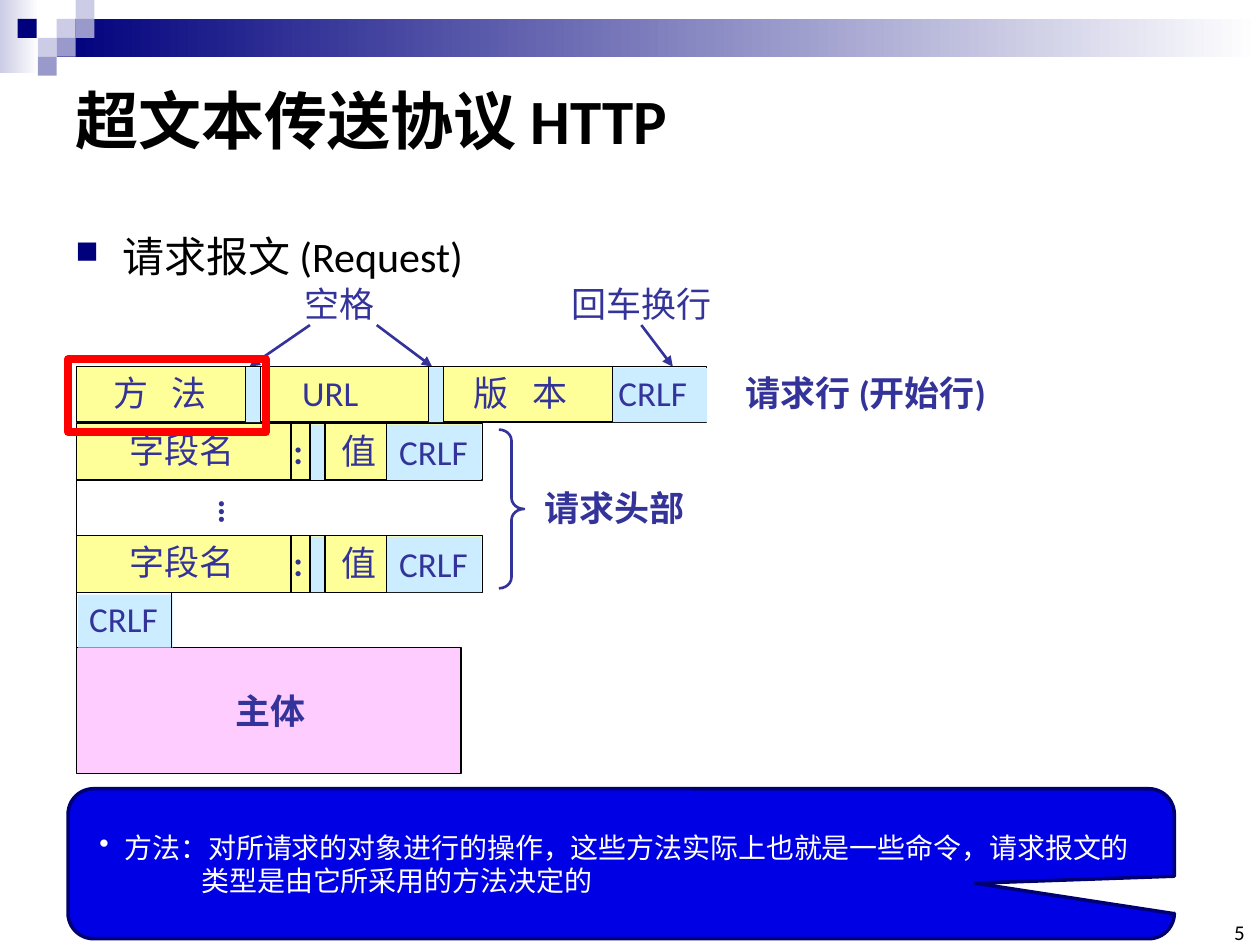
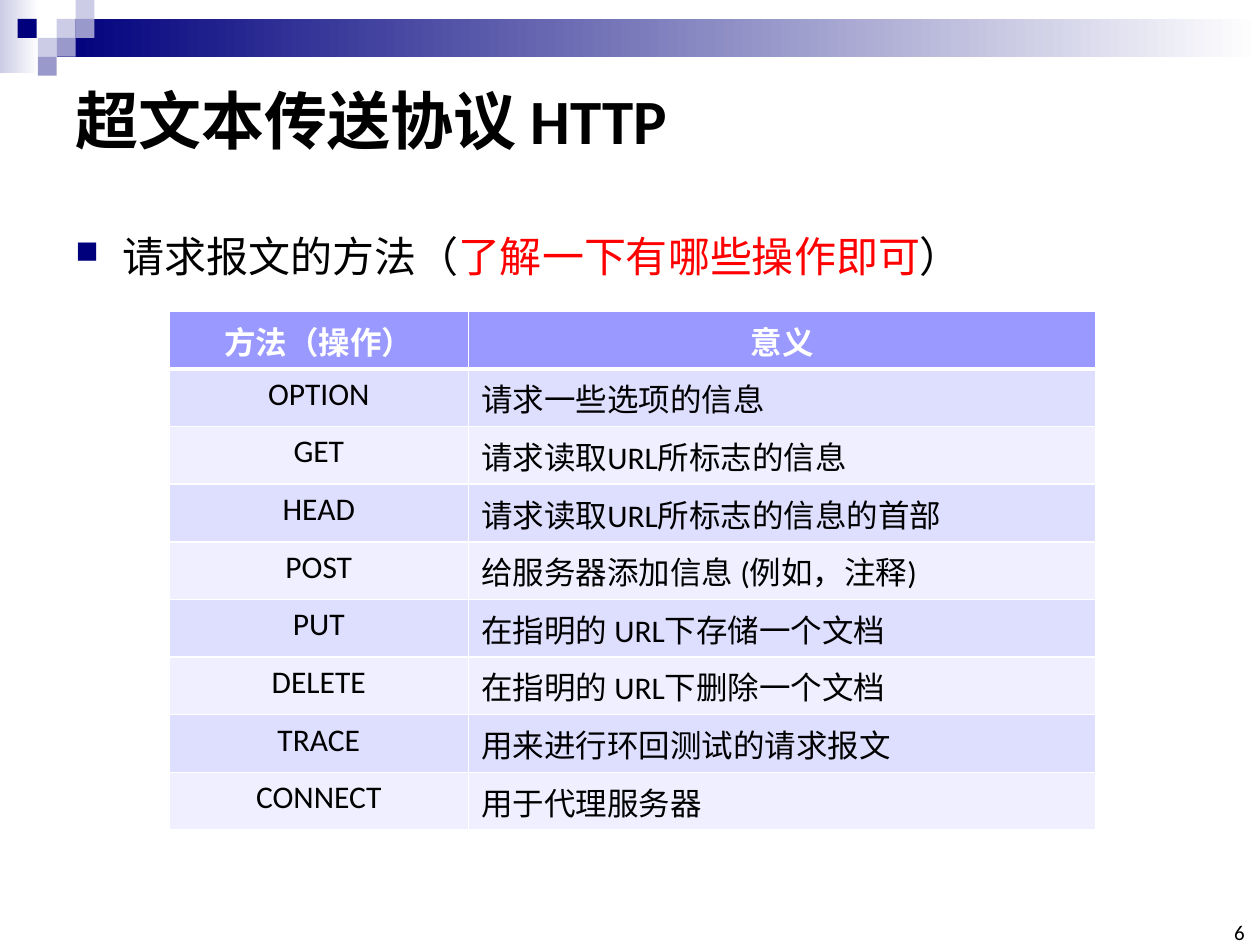
from dataclasses import dataclass

from lxml import etree
from pptx import Presentation
from pptx import util as u
from pptx.dml import color
from pptx.enum import shapes, text
from pptx.oxml import ns

PX = 9144
BOX = shapes.MSO_SHAPE.RECTANGLE
ALIGN = text.PP_ALIGN
MID = text.MSO_ANCHOR.MIDDLE


@dataclass(frozen=True)
class Theme:
    font: str = "Calibri"
    black: str = "000000"
    white: str = "FFFFFF"
    red: str = "FF0000"
    navy: str = "00007D"
    mist: str = "CCCCE6"
    haze: str = "9999CC"
    ink: str = "333399"
    cream: str = "FFFF99"
    sky: str = "CCECFF"
    pink: str = "FFCCFF"
    blue: str = "0000E4"
    edge: str = "000072"
    head: str = "9999FF"
    bands: tuple = ("DEDEFF", "EFEFFF")
    title: int = 36
    lead: int = 24
    label: int = 20
    cell: int = 18
    note: int = 16
    page: int = 12


T = Theme()


def rgb(code):
    return color.RGBColor.from_string(code)


def px(*sizes):
    return [u.Emu(round(size * PX)) for size in sizes]


def node(parent, tag, **attrs):
    return etree.SubElement(parent, ns.qn("a:" + tag), attrs)


def style(para, size, tint=T.black, bold=False, align=None):
    para.alignment = align
    font = para.font
    font.name, font.size, font.bold = T.font, u.Pt(size), bold
    font.color.rgb = rgb(tint)


def bullet(para, mark, left, hang, tint=None, scale=None):
    props = para._p.get_or_add_pPr()
    props.set("marL", str(left * PX))
    props.set("indent", str(-hang * PX))
    if tint:
        node(node(props, "buClr"), "srgbClr", val=tint)
    if scale:
        node(props, "buSzPct", val=str(scale * 1000))
    if mark:
        node(props, "buChar", char=mark)
    else:
        node(props, "buNone")


def block(slide, box, fill=None, edge=None, width=0.75, kind=BOX):
    shape = slide.shapes.add_shape(kind, *px(*box))
    shape.shadow.inherit = False
    if fill:
        shape.fill.solid()
        shape.fill.fore_color.rgb = rgb(fill)
    else:
        shape.fill.background()
    if edge:
        shape.line.color.rgb = rgb(edge)
        shape.line.width = u.Pt(width)
    else:
        shape.line.fill.background()
    return shape


def fade(slide, box, start):
    fill = block(slide, box, start).fill
    fill.gradient()
    fill.gradient_angle = 0
    for stop, tint, place in zip(fill.gradient_stops, (start, T.white), (0, 1)):
        stop.color.rgb = rgb(tint)
        stop.position = place


def line(slide, ends, tint=T.black, width=0.75, arrow=False):
    link = slide.shapes.add_connector(shapes.MSO_CONNECTOR.STRAIGHT, *px(*ends))
    link.line.color.rgb = rgb(tint)
    link.line.width = u.Pt(width)
    if arrow:
        node(link.line._get_or_add_ln(), "tailEnd", type="triangle")
    node(link._element.spPr, "effectLst")


def label(slide, box, words, bold=False, wrap=False, gap=0):
    shape = slide.shapes.add_textbox(*px(*box))
    frame = shape.text_frame
    frame.word_wrap = wrap
    para = frame.paragraphs[0]
    run = para.add_run()
    run.text = words
    if gap:
        run.font._rPr.set("spc", str(gap))
    style(para, T.label, T.ink, bold)
    return shape


def band(slide):
    fade(slide, (0, 0, 31, 58), T.mist)
    fade(slide, (45, 15, 955, 30), T.navy)
    tiles = ((45, 15, T.mist), (60, 0, T.mist), (60, 15, T.haze), (30, 30, T.mist),
             (14, 15, T.navy), (45, 30, T.haze), (30, 45, T.haze))
    for left, top, tint in tiles:
        block(slide, (left, top, 15, 15), tint)


def page(deck, number, parts):
    slide = deck.slides.add_slide(deck.slide_layouts[5])
    band(slide)
    title = slide.shapes.title
    title.left, title.top, title.width, title.height = px(50, 50, 900, 89)
    title.text_frame.text = "超文本传送协议 HTTP"
    title.text_frame.vertical_anchor = MID
    style(title.text_frame.paragraphs[0], T.title, bold=True, align=ALIGN.LEFT)

    frame = slide.shapes.add_textbox(*px(50, 158, 938, 70)).text_frame
    frame.word_wrap = True
    para = frame.paragraphs[0]
    para.line_spacing = 1.5
    bullet(para, "■", 37, 37, T.navy, 75)
    style(para, T.lead)
    for words, tint in parts:
        run = para.add_run()
        run.text = words
        if tint != T.black:
            run.font.color.rgb = rgb(tint)

    foot = slide.shapes.add_textbox(*px(965, 733, 23, 17)).text_frame
    foot.margin_left = foot.margin_right = foot.margin_top = foot.margin_bottom = 0
    foot.vertical_anchor = text.MSO_ANCHOR.BOTTOM
    foot.text = str(number)
    style(foot.paragraphs[0], T.page, align=ALIGN.RIGHT)
    return slide


def strip(slide, box, spans, cuts, labels):
    left, top, _, high = box
    block(slide, box, T.cream, T.black)
    for start, wide in spans:
        block(slide, (left + start, top + 1, wide, high - 1), T.sky)
    for cut in cuts:
        line(slide, (left + cut, top, left + cut, top + high))
    for start, drop, wide, words, bold, gap in labels:
        label(slide, (left + start, top + drop, wide, 44), words, bold, gap=gap)


def arrows(slide, left, top):
    label(slide, (left, top, 76, 44), "空格")
    label(slide, (left + 212, top, 131, 44), "回车换行")
    for start, end in ((67, 111), (14, -34), (277, 302)):
        line(slide, (left + start, top + 39, left + end, top + 72), T.ink, 1.5, True)


def message(slide, left, top):
    tops = [round(top + 44.6 * i) for i in range(6)]
    high = 45

    block(slide, (left, tops[5], 305, 100), T.pink, T.black)
    label(slide, (left + 116, tops[5] + 28, 76, 44), "主体", True)

    label(slide, (left + 521, top - 1, 213, 44), "请求行 (开始行)", True, True)
    strip(slide, (left, top, 500, 44), ((134, 12), (279, 12), (425, 75)),
          (134, 146, 279, 291, 425),
          ((19, -1, 99, "方 法", False, 450), (169, -1, 65, "URL", False, 0),
           (305, -1, 99, "版 本", False, 450), (420, -1, 75, "CRLF", False, 0)))

    block(slide, (left + 1, tops[4] + 3, 75, 42), T.sky)
    for edge in (left, left + 75):
        line(slide, (edge, tops[4], edge, tops[5]))
    label(slide, (left, tops[4], 75, 44), "CRLF")

    for row in (1, 3):
        strip(slide, (left, tops[row], 322, high), ((185, 12), (246, 75)),
              (170, 185, 197, 246),
              ((32, -1, 104, "字段名", False, 0), (162, 0, 28, ":", True, 0),
               (200, 0, 48, "值", False, 0), (246, 1, 85, "CRLF", False, 0)))
    line(slide, (left, tops[2], left, tops[3]))
    label(slide, (left + 86, tops[2] + 4, 40, 44), "…", True).rotation = 270

    brace = block(slide, (left + 335, tops[1] + 5, 20, 126), None, T.ink, 1.5,
                  shapes.MSO_SHAPE.RIGHT_BRACE)
    brace.adjustments[0], brace.adjustments[1] = 0.44, 0.5
    label(slide, (left + 361, tops[2] + 1, 132, 44), "请求头部", True)
    return (left - 7, top - 6, 157, 58)


def callout(slide, box):
    shape = block(slide, box, T.blue, T.edge, 2,
                  shapes.MSO_SHAPE.ROUNDED_RECTANGULAR_CALLOUT)
    for i, ratio in enumerate((0.32, 0.13, 0.17)):
        shape.adjustments[i] = ratio
    frame = shape.text_frame
    frame.word_wrap = True
    frame.vertical_anchor = MID
    frame.margin_left, frame.margin_right = px(8, 8)
    frame.text = ("方法：对所请求的对象进行的操作，这些方法实际上也就是一些命令，请求报文的\n"
                  "类型是由它所采用的方法决定的")
    for para, mark, left, hang in zip(frame.paragraphs, ("•", None), (31, 92), (20, 0)):
        bullet(para, mark, left, hang)
        style(para, T.note, T.white, align=ALIGN.LEFT)


def border(cell, below):
    props = cell._tc.get_or_add_tcPr()
    for i, (side, width) in enumerate((("L", 1), ("R", 1), ("T", 1), ("B", below))):
        edge = etree.Element(ns.qn("a:ln" + side), w=str(u.Pt(width)))
        node(node(edge, "solidFill"), "srgbClr", val=T.white)
        props.insert(i, edge)


def methods(slide, box, rows):
    grid = slide.shapes.add_table(len(rows), 2, *px(*box)).table
    for column, wide in zip(grid.columns, px(238, box[2] - 238)):
        column.width = wide
    for i, row in enumerate(rows):
        top = i == 0
        for j, words in enumerate(row):
            cell = grid.cell(i, j)
            cell.text = words
            cell.fill.solid()
            cell.fill.fore_color.rgb = rgb(T.head if top else T.bands[(i - 1) % 2])
            border(cell, 3 if top else 1)
            style(cell.text_frame.paragraphs[0], T.cell, T.white if top else T.black,
                  top, ALIGN.CENTER if top or j == 0 else ALIGN.LEFT)


def main():
    deck = Presentation()
    deck.slide_width, deck.slide_height = px(1000, 750)

    slide = page(deck, 5, [("请求报文 (Request)", T.black)])
    arrows(slide, 232, 219)
    focus = message(slide, 61, 291)
    callout(slide, (54, 626, 878, 119))
    block(slide, focus, None, T.red, 4.5)

    slide = page(deck, 6, [("请求报文的方法（", T.black),
                           ("了解一下有哪些操作即可", T.red), ("）", T.black)])
    methods(slide, (134, 247, 736, 412), (
        ("方法（操作）", "意义"),
        ("OPTION", "请求一些选项的信息"),
        ("GET", "请求读取URL所标志的信息"),
        ("HEAD", "请求读取URL所标志的信息的首部"),
        ("POST", "给服务器添加信息 (例如，注释)"),
        ("PUT", "在指明的 URL下存储一个文档"),
        ("DELETE", "在指明的 URL下删除一个文档"),
        ("TRACE", "用来进行环回测试的请求报文"),
        ("CONNECT", "用于代理服务器"),
    ))
    deck.save("out.pptx")


if __name__ == "__main__":
    main()
